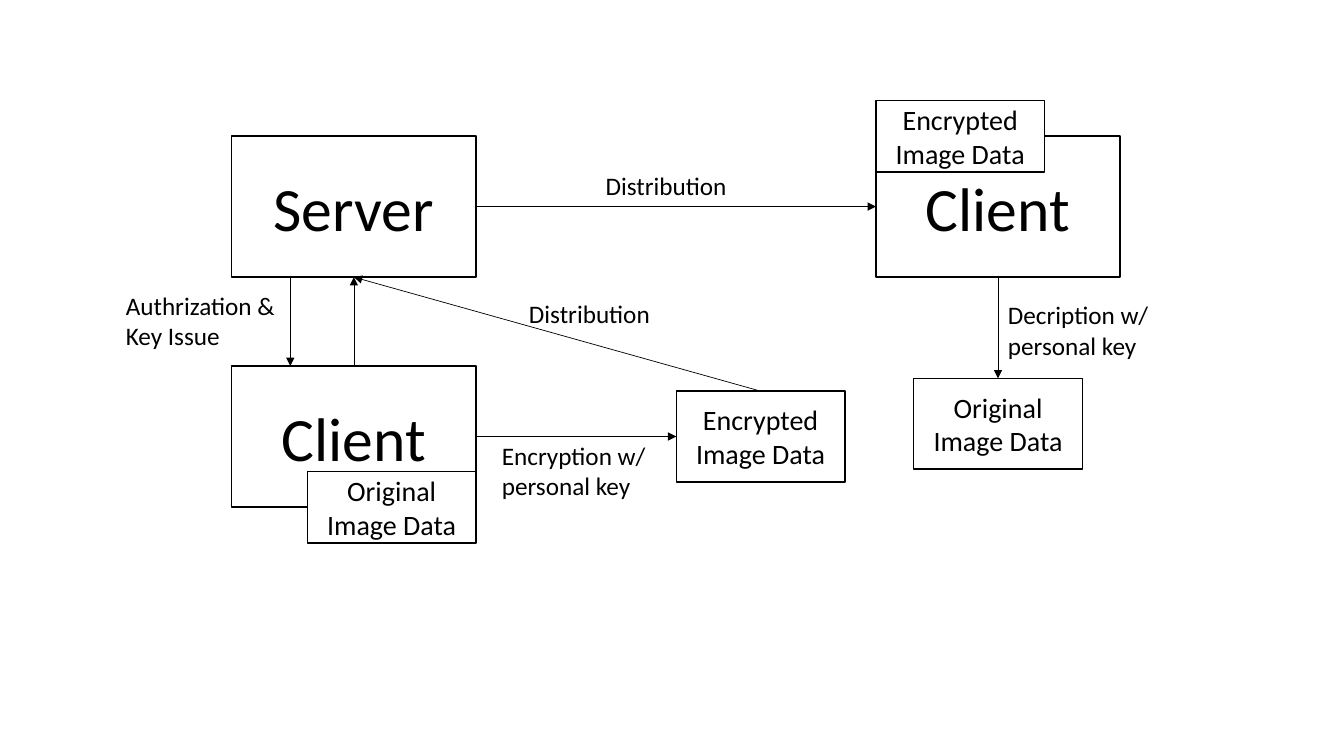
from collections import namedtuple
from dataclasses import dataclass

from lxml import etree
from pptx import Presentation
from pptx import util as u
from pptx.dml import color
from pptx.enum import shapes, text
from pptx.oxml import ns

Box = namedtuple("Box", "left top width height")
Site = namedtuple("Site", "top left bottom right")(0, 1, 2, 3)


@dataclass(frozen=True)
class Theme:
    font: str = "Calibri"
    ink: color.RGBColor = color.RGBColor(0, 0, 0)
    paper: color.RGBColor = color.RGBColor(255, 255, 255)
    node_size: float = 44
    data_size: float = 20
    label_size: float = 18
    outline: float = 1
    arrow: float = 0.5


THEME = Theme()
NODE_WIDTH, NODE_HEIGHT = 174.4, 100.8
DATA_WIDTH, DATA_HEIGHT, TAB_HEIGHT = 120.4, 64.8, 51.2
ENCRYPTED = "Encrypted\nImage Data"
ORIGINAL = "Original\nImage Data"


def points(*values):
    return [u.Pt(value) for value in values]


def write(shape, words, size, align=text.PP_ALIGN.LEFT, anchor=text.MSO_ANCHOR.TOP):
    frame = shape.text_frame
    frame.word_wrap = True
    frame.vertical_anchor = anchor
    frame.text = words
    for paragraph in frame.paragraphs:
        paragraph.alignment = align
        paragraph.font.name = THEME.font
        paragraph.font.size = u.Pt(size)
        paragraph.font.color.rgb = THEME.ink


def add_label(slide, words, left, top, width=DATA_WIDTH, height=51):
    label = slide.shapes.add_textbox(*points(left, top, width, height))
    write(label, words, THEME.label_size)


def add_box(slide, words, box, size=THEME.data_size, filled=False):
    shape = slide.shapes.add_shape(shapes.MSO_SHAPE.RECTANGLE, *points(*box))
    shape.shadow.inherit = False
    if filled:
        shape.fill.solid()
        shape.fill.fore_color.rgb = THEME.paper
    else:
        shape.fill.background()
    shape.line.color.rgb = THEME.ink
    shape.line.width = u.Pt(THEME.outline)
    write(shape, words, size, text.PP_ALIGN.CENTER, text.MSO_ANCHOR.MIDDLE)
    return shape


def add_node(slide, words, left, top):
    return add_box(slide, words, Box(left, top, NODE_WIDTH, NODE_HEIGHT), THEME.node_size)


def add_arrow(slide, start=(0, 0), end=(0, 0)):
    arrow = slide.shapes.add_connector(
        shapes.MSO_CONNECTOR.STRAIGHT, *points(*start, *end))
    arrow.line.color.rgb = THEME.ink
    arrow.line.width = u.Pt(THEME.arrow)
    tail = etree.SubElement(arrow.line._get_or_add_ln(), ns.qn("a:tailEnd"))
    tail.set("type", "triangle")
    etree.SubElement(arrow._element.spPr, ns.qn("a:effectLst"))
    return arrow


def link(slide, source, source_site, target, target_site):
    arrow = add_arrow(slide)
    arrow.begin_connect(source, source_site)
    arrow.end_connect(target, target_site)


def add_sender(slide, box):
    node_left = box.left + 82.8
    client_top = box.top + 164.2
    node_right = node_left + NODE_WIDTH
    client = add_node(slide, "Client", node_left, client_top)
    server = add_node(slide, "Server", node_left, box.top)
    encrypted = add_box(slide, ENCRYPTED, Box(
        box.left + box.width - DATA_WIDTH,
        client_top + (NODE_HEIGHT - DATA_HEIGHT) / 2, DATA_WIDTH, DATA_HEIGHT))

    key_x = node_left + 41.8
    add_arrow(slide, (key_x, box.top + NODE_HEIGHT - 1), (key_x, client_top))
    link(slide, client, Site.top, server, Site.bottom)
    link(slide, client, Site.right, encrypted, Site.left)
    link(slide, encrypted, Site.top, server, Site.bottom)

    add_label(slide, "Authrization &\nKey Issue", box.left, box.top + 106.6, 124.6)
    add_label(slide, "Encryption w/ personal key", node_right + 11.4, box.top + 213.8)
    add_label(slide, "Distribution", node_right + 30.8, box.top + 112.3, 108, 29)
    add_box(slide, ORIGINAL, Box(
        node_right - DATA_WIDTH, client_top + NODE_HEIGHT - TAB_HEIGHT / 2,
        DATA_WIDTH, TAB_HEIGHT), filled=True)
    return server


def add_receiver(slide, box):
    client = add_node(slide, "Client", box.left, box.top + TAB_HEIGHT / 2)
    add_box(slide, ENCRYPTED, Box(
        box.left, box.top, DATA_WIDTH, TAB_HEIGHT), filled=True)
    original = add_box(slide, ORIGINAL, Box(
        box.left + (box.width - DATA_WIDTH) / 2,
        box.top + box.height - DATA_HEIGHT, DATA_WIDTH, DATA_HEIGHT))
    link(slide, client, Site.bottom, original, Site.top)
    add_label(slide, "Decription w/ personal key",
              box.left + box.width / 2, box.top + 138.9)
    return client


def add_distribution(slide, server, client, box):
    link(slide, server, Site.right, client, Site.left)
    add_label(slide, "Distribution", *box)


def add_exchange(slide, box):
    server = add_sender(slide, Box(box.left, box.top + 25.6, 520.7, 290.6))
    client = add_receiver(
        slide, Box(box.left + box.width - NODE_WIDTH, box.top, NODE_WIDTH, 263.5))
    add_distribution(slide, server, client, Box(
        box.left + 342.7, box.top + 46.7, DATA_WIDTH, 29))


presentation = Presentation()
presentation.slide_width, presentation.slide_height = points(960, 540)
slide = presentation.slides.add_slide(presentation.slide_layouts[6])
add_exchange(slide, Box(82.8, 71.6, 717.3, 316.2))
presentation.save("out.pptx")
